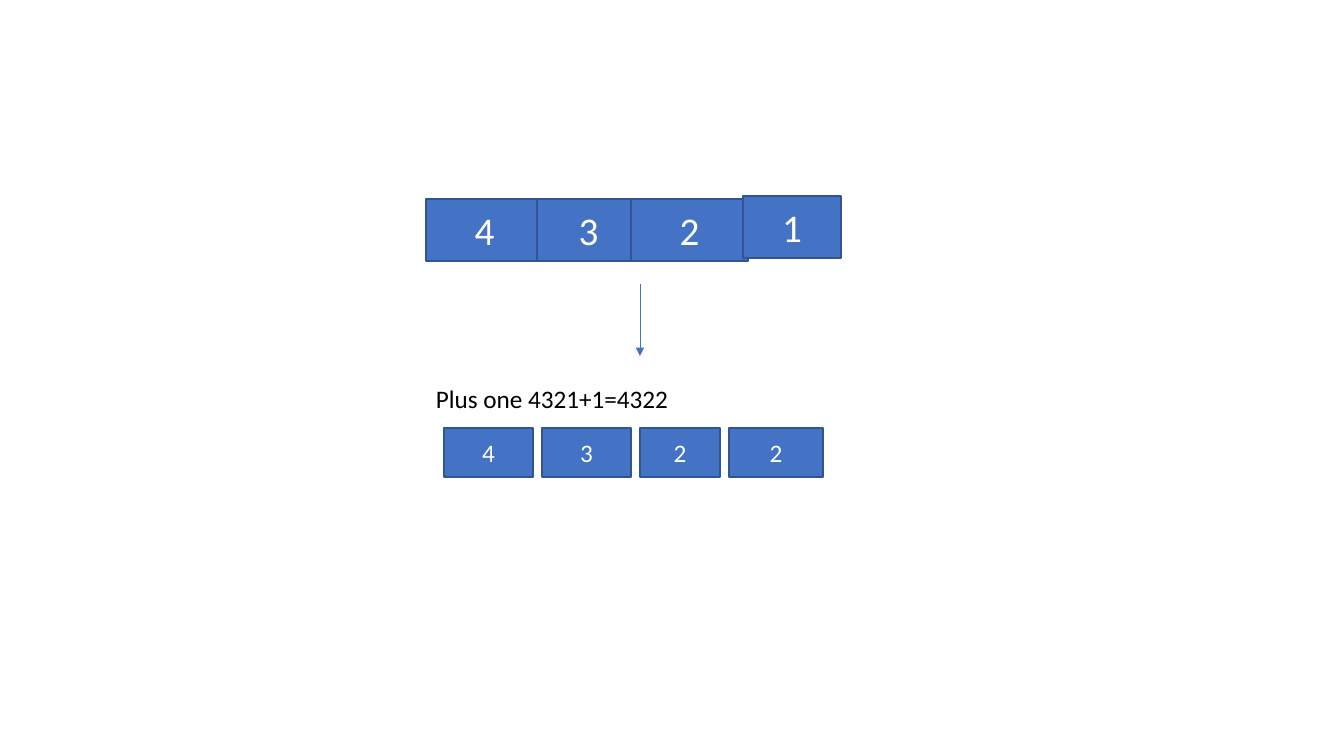
from lxml import etree
from pptx import Presentation
from pptx.dml.color import RGBColor
from pptx.enum.shapes import MSO_CONNECTOR, MSO_SHAPE
from pptx.enum.text import MSO_ANCHOR, MSO_AUTO_SIZE, PP_ALIGN
from pptx.oxml.ns import qn
from pptx.util import Emu, Pt

RECT = MSO_SHAPE.RECTANGLE
LINE = MSO_CONNECTOR.STRAIGHT
MID, TOP = MSO_ANCHOR.MIDDLE, MSO_ANCHOR.TOP
LEFT, MIDDLE = PP_ALIGN.LEFT, PP_ALIGN.CENTER
GROW = MSO_AUTO_SIZE.SHAPE_TO_FIT_TEXT

SIZE = (1344, 756)
INPUT = [("4", 426, 199, 117), ("3", 537, 199, 103),
         ("2", 631, 199, 117), ("1", 743, 196, 98)]
TALL = 62
RESULT = [("4", 89), ("3", 89), ("2", 80), ("2", 94)]
START, ROW, SHORT, GAP = 444, 428, 49, 9
LABEL = ("Plus one 4321+1=4322", (426, 378, 469, 40))
ARROW = (640, 284, 640, 356)

THEME = {
    "font": "Calibri",
    "fill": RGBColor(0x44, 0x72, 0xC4),
    "edge": RGBColor(0x32, 0x54, 0x91),
    "light": RGBColor(0xFF, 0xFF, 0xFF),
    "dark": RGBColor(0, 0, 0),
    "large": 28,
    "small": 18,
    "border": 1,
    "thin": 0.5,
}


def px(*nums):
    return [Emu(round(n * 914400 / 100.8)) for n in nums]


def write(shape, text, size="small", color="light", align=MIDDLE, anchor=MID):
    frame = shape.text_frame
    frame.word_wrap = True
    frame.vertical_anchor = anchor
    para = frame.paragraphs[0]
    para.alignment = align
    run = para.add_run()
    run.text = text
    run.font.name = THEME["font"]
    run.font.size = Pt(THEME[size])
    run.font.color.rgb = THEME[color]


def draw_box(slide, text, area, size):
    box = slide.shapes.add_shape(RECT, *px(*area))
    box.shadow.inherit = False
    box.fill.solid()
    box.fill.fore_color.rgb = THEME["fill"]
    box.line.color.rgb = THEME["edge"]
    box.line.width = Pt(THEME["border"])
    write(box, text, size=size)


def draw_arrow(slide):
    arrow = slide.shapes.add_connector(LINE, *px(*ARROW))
    arrow.line.color.rgb = THEME["fill"]
    arrow.line.width = Pt(THEME["thin"])
    props = arrow.line._get_or_add_ln()
    etree.SubElement(props, qn("a:tailEnd"), type="triangle")
    etree.SubElement(arrow._element.spPr, qn("a:effectLst"))


def main():
    deck = Presentation()
    deck.slide_width, deck.slide_height = px(*SIZE)
    slide = deck.slides.add_slide(deck.slide_layouts[6])

    draw_arrow(slide)
    left = START
    for digit, width in RESULT:
        draw_box(slide, digit, (left, ROW, width, SHORT), "small")
        left += width + GAP

    text, area = LABEL
    label = slide.shapes.add_textbox(*px(*area))
    write(label, text, color="dark", align=LEFT, anchor=TOP)
    label.text_frame.auto_size = GROW

    for digit, left, top, width in INPUT:
        draw_box(slide, digit, (left, top, width, TALL), "large")

    deck.save("out.pptx")


if __name__ == "__main__":
    main()
